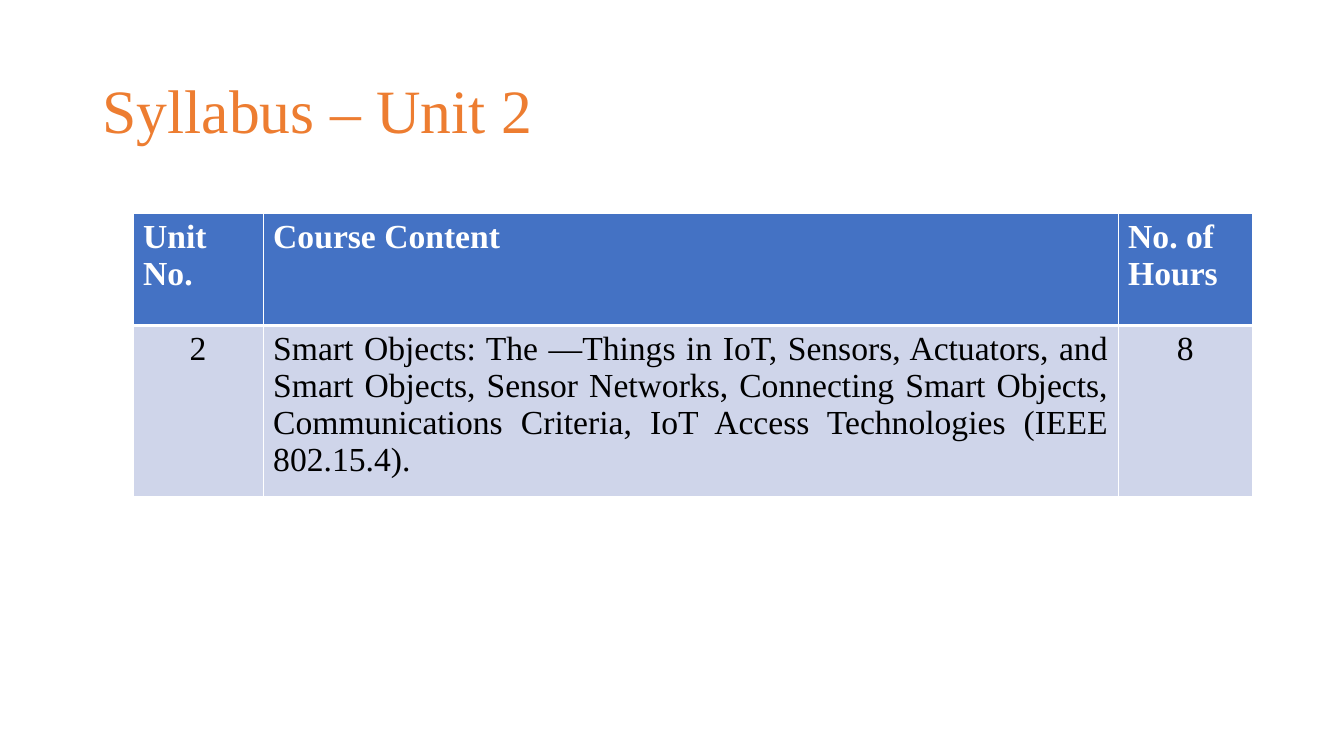
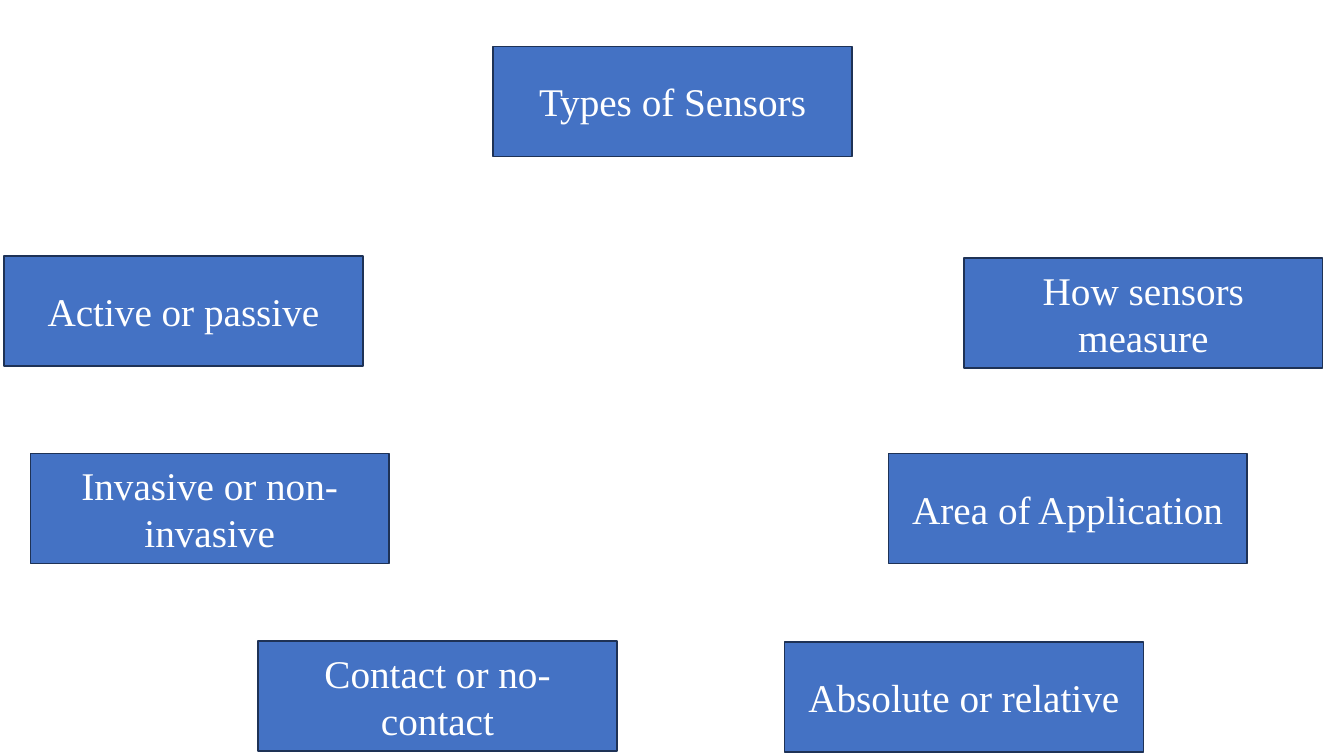
from pptx import Presentation
from pptx.dml.color import RGBColor
from pptx.enum.shapes import MSO_SHAPE
from pptx.enum.text import MSO_ANCHOR, PP_ALIGN
from pptx.oxml import parse_xml
from pptx.oxml.ns import nsdecls
from pptx.util import Pt

PX = 9144  # 100 px to the inch
FONT = "Times New Roman"
ORANGE = RGBColor(0xED, 0x7D, 0x31)
BLUE = RGBColor(0x44, 0x72, 0xC4)
NAVY = RGBColor(0x1E, 0x32, 0x56)
PALE = RGBColor(0xCF, 0xD5, 0xEA)
WHITE = RGBColor(0xFF, 0xFF, 0xFF)
BLACK = RGBColor(0, 0, 0)

COL_WIDTHS = (129, 848, 133)
ROW_HEIGHT = 111
HEADINGS = ("Unit No.", "Course Content", "No. of Hours")
UNIT = (
    "2",
    "Smart Objects: The ―Things in IoT, Sensors, Actuators, and Smart Objects, "
    "Sensor Networks, Connecting Smart Objects, Communications Criteria, "
    "IoT Access Technologies (IEEE 802.15.4).",
    "8",
)
UNIT_ALIGN = (PP_ALIGN.CENTER, PP_ALIGN.JUSTIFY, PP_ALIGN.CENTER)

BOX_SIZE = (356, 109)
SENSOR_BOXES = (
    (489, 46, "Types of Sensors"),
    (4, 254, "Active or passive"),
    (30, 450, "Invasive or non-invasive"),
    (256, 636, "Contact or no-contact"),
    (778, 637, "Absolute or relative"),
    (881, 450, "Area of Application"),
    (956, 256, "How sensors measure"),
)


def px(*lengths):
    return [n * PX for n in lengths]


def write(tf, text, size, color, align=PP_ALIGN.LEFT, bold=False):
    tf.word_wrap = True
    p = tf.paragraphs[0]
    p.alignment = align
    r = p.add_run()
    r.text = text
    r.font.name = FONT
    r.font.size = Pt(size)
    r.font.bold = bold
    r.font.color.rgb = color
    return p


def add_title(s, text, x, y, w, h):
    tf = s.shapes.add_textbox(*px(x, y, w, h)).text_frame
    tf.vertical_anchor = MSO_ANCHOR.MIDDLE
    write(tf, text, 44, ORANGE).line_spacing = 0.9


def set_borders(cell, bottom):
    """White rules of 1 pt, with the bottom one as wide as asked."""
    tc_pr = cell._tc.get_or_add_tcPr()
    for i, (side, width) in enumerate((("L", 1), ("R", 1), ("T", 1), ("B", bottom))):
        tc_pr.insert(i, parse_xml(
            f'<a:ln{side} {nsdecls("a")} w="{Pt(width)}"><a:solidFill>'
            f'<a:srgbClr val="{WHITE}"/></a:solidFill></a:ln{side}>'))


def fill_row(table, row, texts, aligns, fill, color, bold, bottom):
    for col, (text, align) in enumerate(zip(texts, aligns)):
        cell = table.cell(row, col)
        cell.fill.solid()
        cell.fill.fore_color.rgb = fill
        set_borders(cell, bottom)
        write(cell.text_frame, text, 24, color, align, bold)


def add_syllabus_table(s, x, y):
    w, h = sum(COL_WIDTHS), 2 * ROW_HEIGHT
    table = s.shapes.add_table(2, len(COL_WIDTHS), *px(x, y, w, h)).table
    for column, width in zip(table.columns, px(*COL_WIDTHS)):
        column.width = width
    fill_row(table, 0, HEADINGS, [PP_ALIGN.LEFT] * 3, BLUE, WHITE, True, 3)
    fill_row(table, 1, UNIT, UNIT_ALIGN, PALE, BLACK, False, 1)
    # The rule between the rows belongs to both cells
    for cell in table.rows[1].cells:
        cell._tc.tcPr[2].set("w", str(Pt(3)))


def add_sensor_box(s, x, y, text):
    sp = s.shapes.add_shape(MSO_SHAPE.RECTANGLE, *px(x, y, *BOX_SIZE))
    sp.shadow.inherit = False
    sp.fill.solid()
    sp.fill.fore_color.rgb = BLUE
    sp.line.color.rgb = NAVY
    sp.line.width = Pt(1)
    sp.text_frame.vertical_anchor = MSO_ANCHOR.MIDDLE
    write(sp.text_frame, text, 28, WHITE, PP_ALIGN.CENTER)


def syllabus_slide(s):
    add_title(s, "Syllabus – Unit 2", 92, 40, 1150, 145)
    add_syllabus_table(s, 132, 212)


def sensor_types_slide(s):
    for x, y, text in SENSOR_BOXES:
        add_sensor_box(s, x, y, text)


def main():
    prs = Presentation()
    prs.slide_width, prs.slide_height = px(1333, 750)
    for build in (syllabus_slide, sensor_types_slide):
        build(prs.slides.add_slide(prs.slide_layouts[6]))
    prs.save("out.pptx")


if __name__ == "__main__":
    main()
